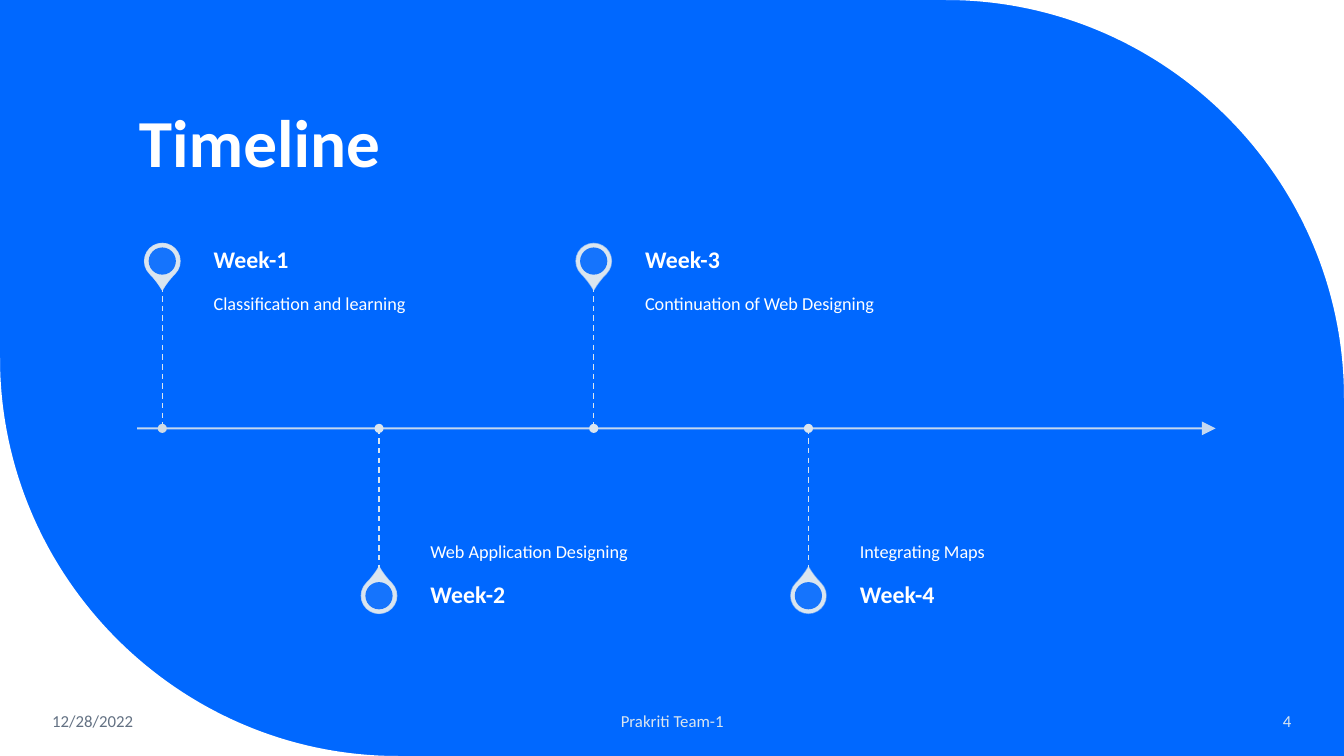
from pptx import Presentation
from pptx.dml.color import RGBColor
from pptx.enum.dml import MSO_LINE
from pptx.enum.shapes import MSO_CONNECTOR, MSO_SHAPE
from pptx.enum.text import MSO_ANCHOR, PP_ALIGN
from pptx.oxml.ns import qn
from pptx.oxml.xmlchemy import OxmlElement
from pptx.util import Inches, Pt

COLS, ROWS = 133.33, 75
BLUE, WHITE, PALE, MIST, GREY = "0068FF", "FFFFFF", "DAE5EF", "D0DBE4", "637183"
AXIS, STEM = 42.5, 14.1
WEEKS = [
    (16.1, "Week-1", "Classification and learning", MIST, 90),
    (37.6, "Week-2", "Web Application Designing", PALE, 77),
    (58.9, "Week-3", "Continuation of Web Designing", PALE, 63),
    (80.2, "Week-4", "Integrating Maps", PALE, 50),
]


def cell(count):
    """Return the length of a number of square grid cells."""
    return Inches(count / 10)


def ink(code):
    """Turn a hex string into a colour."""
    return RGBColor.from_string(code)


def fade(part, share):
    """Set the opacity, in percent, of the colours in an XML part."""
    for tone in part.iter(qn("a:srgbClr")):
        alpha = OxmlElement("a:alpha")
        alpha.set("val", str(share * 1000))
        tone.append(alpha)


def paint(shape, code):
    """Give a shape a plain fill without line or shadow."""
    shape.shadow.inherit = False
    shape.fill.solid()
    shape.fill.fore_color.rgb = ink(code)
    shape.line.fill.background()


def disc(slide, x, y, size, code, kind=MSO_SHAPE.OVAL):
    """Add a filled shape centred on a grid point."""
    box = [cell(n) for n in (x - size / 2, y - size / 2, size, size)]
    shape = slide.shapes.add_shape(kind, *box)
    paint(shape, code)
    return shape


def rule(slide, start, end, width):
    """Add a pale straight line between two grid points."""
    ends = [cell(n) for n in (*start, *end)]
    line = slide.shapes.add_connector(MSO_CONNECTOR.STRAIGHT, *ends)
    line.line.color.rgb = ink(PALE)
    line.line.width = Pt(width)
    line.element.spPr.append(OxmlElement("a:effectLst"))
    return line


def write(slide, box, text, size, code=WHITE, bold=False, side=PP_ALIGN.LEFT,
          hold=MSO_ANCHOR.MIDDLE, pads=(1, 0.5, 1, 0.5), lead=1.0):
    """Add a text box with one run."""
    frame = slide.shapes.add_textbox(*[cell(n) for n in box]).text_frame
    frame.word_wrap = True
    frame.vertical_anchor = hold
    (frame.margin_left, frame.margin_top,
     frame.margin_right, frame.margin_bottom) = [cell(n) for n in pads]
    para = frame.paragraphs[0]
    para.alignment = side
    para.line_spacing = lead
    run = para.add_run()
    run.text = text
    run.font.name = "Calibri"
    run.font.size = Pt(size)
    run.font.bold = bold
    run.font.color.rgb = ink(code)


def bend(shape):
    """Merge the first three line points of an outline into one curve."""
    lines = list(shape.element.iter(qn("a:lnTo")))[:3]
    curve = OxmlElement("a:cubicBezTo")
    lines[0].addprevious(curve)
    for line in lines:
        curve.append(line.find(qn("a:pt")))
        line.getparent().remove(line)


def corner(slide, way, size=39.5, pull=0.55):
    """Cut a white rounded corner, top right (1) or bottom left (-1)."""
    x = COLS - size if way > 0 else size
    y = size if way > 0 else ROWS - size
    marks = [(0, 1), (pull, 1), (1, pull), (1, 0), (1, 1)]
    spots = [(cell(x + way * size * a), cell(y - way * size * b))
             for a, b in marks]
    draft = slide.shapes.build_freeform(*spots[0], scale=1.0)
    draft.add_line_segments(spots[1:])
    shape = draft.convert_to_shape()
    bend(shape)
    paint(shape, WHITE)


def pin(slide, x, y, way, share):
    """Add a map pin that points to the axis."""
    drop = disc(slide, x, y, 3.5, PALE, MSO_SHAPE.TEAR)
    drop.adjustments[0] = 1.15
    drop.rotation = 135 if way < 0 else 315
    drop.line.color.rgb = ink(PALE)
    drop.line.width = Pt(1)
    fade(drop.element.spPr.find(qn("a:ln")), share)
    fade(disc(slide, x, y, 2.7, BLUE).element.spPr, 90)


def week(slide, way, x, name, task, dot, share):
    """Add one week above (-1) or below (1) the axis."""
    y, left, wide = AXIS + way * 16.6, x + 5.1, 30.3
    top = AXIS if way > 0 else AXIS - STEM
    hold = MSO_ANCHOR.BOTTOM if way > 0 else MSO_ANCHOR.TOP
    pads = (0, 1.4, 0, 1.1) if way > 0 else (0, 1.1, 0.9, 1.4)
    pin(slide, x, y, way, share)
    write(slide, (left, top, wide, STEM), task, 13, hold=hold, pads=pads, lead=0.9)
    write(slide, (left, y - 2.5, wide, 5), name, 17, bold=True,
          pads=(0, 0, 1.2, 0), lead=0.9)
    stem = rule(slide, (x, top), (x, top + STEM), 1)
    stem.line.dash_style = MSO_LINE.DASH
    disc(slide, x, AXIS, 0.9, dot)


def axis(slide):
    """Add the arrow that the weeks hang on."""
    arrow = rule(slide, (13.6, AXIS), (120.6, AXIS), 1.5)
    stroke = arrow.element.spPr.find(qn("a:ln"))
    fade(stroke, 90)
    head = OxmlElement("a:tailEnd")
    for key, value in (("type", "triangle"), ("w", "lg"), ("len", "lg")):
        head.set(key, value)
    stroke.append(head)


def foot(slide):
    """Add the date, the team and the page number."""
    top, high = 69.5, 4
    write(slide, (4.2, top, 18.6, high), "12/28/2022", 12, GREY)
    write(slide, (44.2, top, 45, high), "Prakriti Team-1", 12, PALE,
          side=PP_ALIGN.CENTER)
    write(slide, (111, top, 18.1, high), "4", 12, PALE, side=PP_ALIGN.RIGHT)


def main():
    """Build the timeline slide."""
    deck = Presentation()
    deck.slide_width, deck.slide_height = cell(COLS), cell(ROWS)
    slide = deck.slides.add_slide(deck.slide_layouts[6])
    slide.background.fill.solid()
    slide.background.fill.fore_color.rgb = ink(BLUE)
    for way in (1, -1):
        corner(slide, way)
    write(slide, (12.8, 4.1, 106.9, 14.5), "Timeline", 48, bold=True,
          hold=MSO_ANCHOR.BOTTOM, lead=0.9)
    axis(slide)
    for order, item in enumerate(WEEKS):
        week(slide, 1 if order % 2 else -1, *item)
    foot(slide)
    deck.save("out.pptx")


main()
